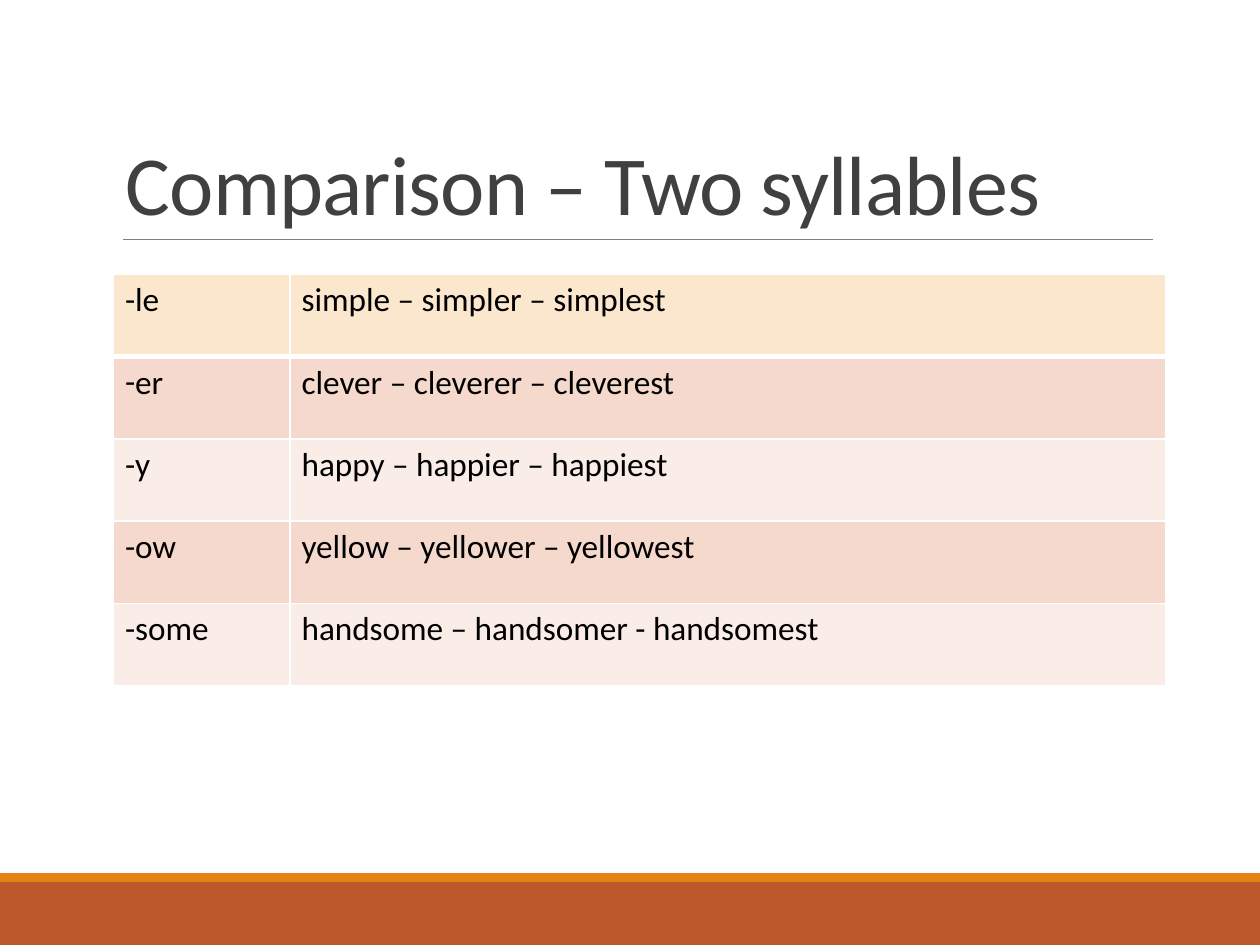
from dataclasses import dataclass

from lxml.etree import SubElement
from pptx import Presentation
from pptx.dml.color import RGBColor as Rgb
from pptx.enum.shapes import MSO_CONNECTOR as Connector, MSO_SHAPE as Shape
from pptx.enum.text import MSO_ANCHOR as Anchor
from pptx.oxml.ns import qn
from pptx.util import Cm, Pt


@dataclass(frozen=True)
class Theme:
    """Colours, font and type sizes of the slide."""
    font: str = "Calibri"
    title_size: float = 48
    cell_size: float = 19
    title: str = "404040"
    text: str = "000000"
    rule: str = "808080"
    band: str = "BD582C"
    stripe: str = "E48312"
    border: str = "FFFFFF"
    header: str = "FBE6CE"
    rows: tuple = ("F5D9CC", "FAEDE7")


THEME = Theme()
ENDINGS = (
    ("le", "simple – simpler – simplest"),
    ("er", "clever – cleverer – cleverest"),
    ("y", "happy – happier – happiest"),
    ("ow", "yellow – yellower – yellowest"),
    ("-some", "handsome – handsomer - handsomest"),
)


def style_font(paragraph, size, color):
    """Set the typeface, size and colour of a paragraph."""
    paragraph.font.name = THEME.font
    paragraph.font.size = Pt(size)
    paragraph.font.color.rgb = Rgb.from_string(color)


def add_band(page, top, height, color):
    """Add a filled bar across the full slide width."""
    band = page.shapes.add_shape(Shape.RECTANGLE, 0, Cm(top), Cm(25.4), Cm(height))
    band.shadow.inherit = False
    band.fill.solid()
    band.fill.fore_color.rgb = Rgb.from_string(color)
    band.line.fill.background()


def add_rule(page):
    """Add the thin line below the title."""
    rule = page.shapes.add_connector(
        Connector.STRAIGHT, Cm(2.48), Cm(4.83), Cm(23.24), Cm(4.83))
    rule.line.color.rgb = Rgb.from_string(THEME.rule)
    rule.line.width = Pt(0.5)
    SubElement(rule._element.spPr, qn("a:effectLst"))


def add_title(page, text):
    """Add the title, standing on the bottom of its box."""
    box = page.shapes.add_textbox(Cm(2.29), Cm(0.79), Cm(20.96), Cm(4.03))
    box.text_frame.word_wrap = True
    box.text_frame.vertical_anchor = Anchor.BOTTOM
    para = box.text_frame.paragraphs[0]
    para.line_spacing = 0.85
    style_font(para, THEME.title_size, THEME.title)
    span = para.add_run()
    span.text = text
    span._r.get_or_add_rPr().set("spc", "-50")


def add_dash_bullet(paragraph):
    """Give a paragraph a dash bullet without indent."""
    properties = paragraph._p.get_or_add_pPr()
    properties.set("marL", "0")
    properties.set("indent", "0")
    SubElement(properties, qn("a:buFont"), typeface=THEME.font)
    SubElement(properties, qn("a:buChar"), char="-")


def set_borders(cell, top, bottom):
    """Draw the four cell borders, with the given top and bottom widths."""
    for side, width in (("L", 1), ("R", 1), ("T", top), ("B", bottom)):
        line = SubElement(cell._tc.get_or_add_tcPr(), qn(f"a:ln{side}"), w=str(Pt(width)))
        fill = SubElement(line, qn("a:solidFill"))
        SubElement(fill, qn("a:srgbClr"), val=THEME.border)


def fill_cell(cell, text, row, bulleted):
    """Write and colour one table cell."""
    set_borders(cell, 3 if row == 1 else 1, 3 if row == 0 else 1)
    cell.fill.solid()
    color = THEME.rows[(row - 1) % 2] if row else THEME.header
    cell.fill.fore_color.rgb = Rgb.from_string(color)
    cell.margin_left = cell.margin_right = Cm(0.23)
    cell.margin_top = cell.margin_bottom = Cm(0.12)
    para = cell.text_frame.paragraphs[0]
    para.text = text
    if bulleted:
        add_dash_bullet(para)
    style_font(para, THEME.cell_size, THEME.text)


def add_endings_table(page, endings):
    """Add the table of word endings and their comparison forms."""
    count = len(endings)
    table = page.shapes.add_table(
        count, 2, Cm(2.29), Cm(5.53), Cm(21.21), Cm(1.66 * count)).table
    for column, width in zip(table.columns, (3.56, 17.65)):
        column.width = Cm(width)
    for row, texts in enumerate(endings):
        for column, text in enumerate(texts):
            bulleted = column == 0 and not text.startswith("-")
            fill_cell(table.cell(row, column), text, row, bulleted)


def main():
    """Build and save the slide."""
    deck = Presentation()
    deck.slide_width, deck.slide_height = Cm(25.4), Cm(19.05)
    page = deck.slides.add_slide(deck.slide_layouts[6])
    add_band(page, 17.78, 1.27, THEME.band)
    add_band(page, 17.6, 0.18, THEME.stripe)
    add_rule(page)
    add_title(page, "Comparison – Two syllables")
    add_endings_table(page, ENDINGS)
    deck.save("out.pptx")


if __name__ == "__main__":
    main()
